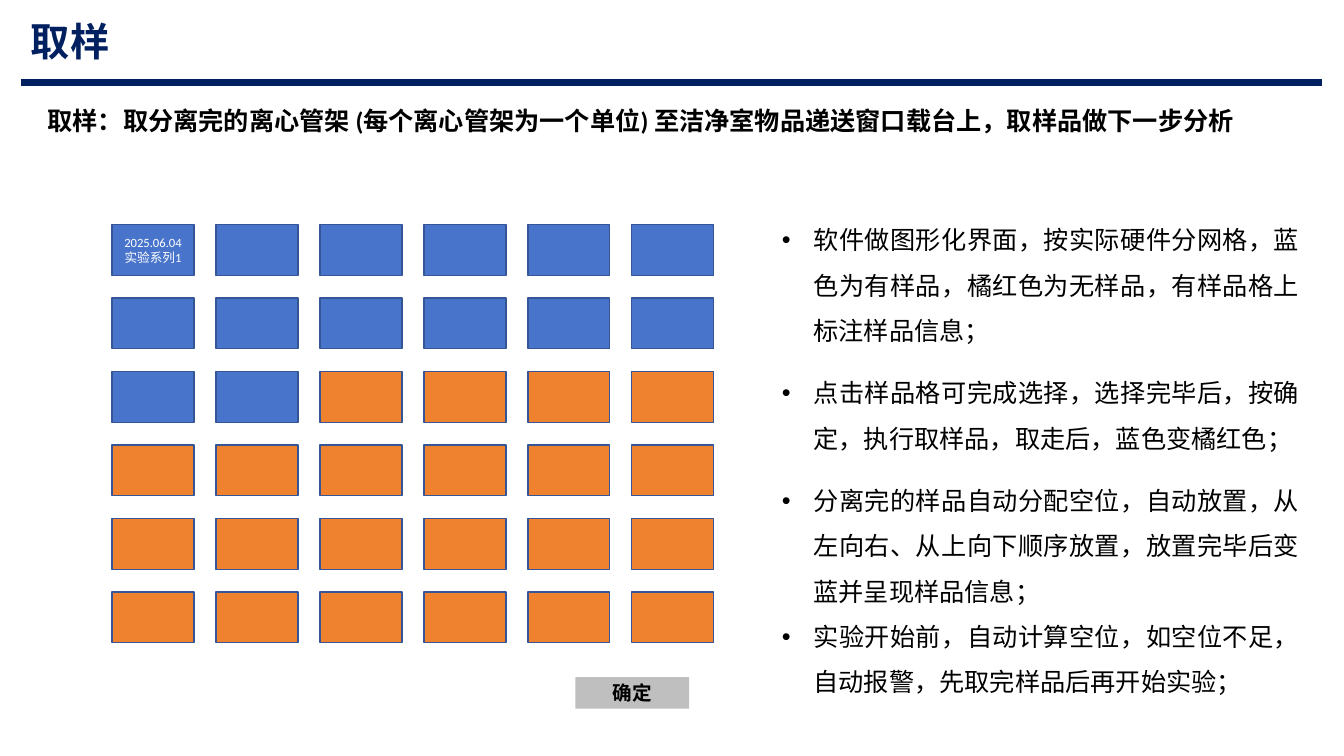
"""Build the sampling slide: a sample rack grid with its operating notes."""
from lxml.etree import SubElement
from pptx import Presentation
from pptx.dml.color import RGBColor
from pptx.enum.shapes import MSO_CONNECTOR, MSO_SHAPE
from pptx.enum.text import MSO_ANCHOR, PP_ALIGN
from pptx.oxml.ns import qn
from pptx.util import Pt

TITLE = "取样"
SUMMARY = "取样：取分离完的离心管架 (每个离心管架为一个单位) 至洁净室物品递送窗口载台上，取样品做下一步分析"
NOTES = [
    ("软件做图形化界面，按实际硬件分网格，蓝色为有样品，橘红色为无样品，有样品格上标注样品信息；", 12),
    ("点击样品格可完成选择，选择完毕后，按确定，执行取样品，取走后，蓝色变橘红色；", 12),
    ("分离完的样品自动分配空位，自动放置，从左向右、从上向下顺序放置，放置完毕后变蓝并呈现样品信息；", 0),
    ("实验开始前，自动计算空位，如空位不足，自动报警，先取完样品后再开始实验；", 0),
]
SAMPLE_LABEL = "2025.06.04 实验系列1"
CONFIRM = "确定"

ROWS, COLUMNS, OCCUPIED = 6, 6, 14
GRID_LEFT, GRID_TOP = 80, 160.4
CELL_WIDTH, CELL_HEIGHT = 58.6, 36.2
COLUMN_STEP, ROW_STEP = 74.25, 52.5
NOTE_INDENT = 22.5

NAVY, BLUE, ORANGE, EDGE = "002060", "4874CB", "EE822F", "355696"
GREY, BLACK, WHITE = "BFBFBF", "000000", "FFFFFF"

TITLE_FONT = {"size": Pt(28), "bold": True}
SUMMARY_FONT = {"size": Pt(18), "bold": True}
NOTE_FONT = {"size": Pt(18)}
LABEL_FONT = {"size": Pt(9)}
CONFIRM_FONT = {"size": Pt(14), "bold": True}


def color(hex_code):
    return RGBColor.from_string(hex_code)


def apply(target, values):
    for key, value in values.items():
        setattr(target, key, value)


def write(paragraph, text, font, hex_code, **layout):
    paragraph.text = text
    apply(paragraph, layout)
    run_font = paragraph.runs[0].font
    apply(run_font, {"name": "Calibri", **font})
    run_font.color.rgb = color(hex_code)


def add_frame(shapes, left, top, width, height):
    frame = shapes.add_textbox(Pt(left), Pt(top), Pt(width), Pt(height)).text_frame
    frame.word_wrap = True
    return frame


def add_box(shapes, left, top, width, height, fill, edge=None):
    box = shapes.add_shape(MSO_SHAPE.RECTANGLE, Pt(left), Pt(top), Pt(width), Pt(height))
    box.shadow.inherit = False
    box.fill.solid()
    box.fill.fore_color.rgb = color(fill)
    if edge:
        box.line.color.rgb = color(edge)
        box.line.width = Pt(1)
    else:
        box.line.fill.background()
    box.text_frame.vertical_anchor = MSO_ANCHOR.MIDDLE
    return box


def add_rack(shapes):
    rack = shapes.add_group_shape().shapes
    for index in range(ROWS * COLUMNS):
        row, column = divmod(index, COLUMNS)
        cell = add_box(rack, GRID_LEFT + column * COLUMN_STEP, GRID_TOP + row * ROW_STEP,
                       CELL_WIDTH, CELL_HEIGHT, BLUE if index < OCCUPIED else ORANGE, EDGE)
        if index == 0:
            write(cell.text_frame.paragraphs[0], SAMPLE_LABEL, LABEL_FONT, WHITE,
                  alignment=PP_ALIGN.CENTER)


def add_notes(shapes):
    frame = add_frame(shapes, 551.5, 146.2, 383.8, 358.6)
    for index, (note, gap) in enumerate(NOTES):
        paragraph = frame.add_paragraph() if index else frame.paragraphs[0]
        properties = paragraph._p.get_or_add_pPr()
        properties.set("marL", str(Pt(NOTE_INDENT)))
        properties.set("indent", str(-Pt(NOTE_INDENT)))
        SubElement(properties, qn("a:buFont"), typeface="Arial")
        SubElement(properties, qn("a:buChar"), char="•")
        write(paragraph, note, NOTE_FONT, BLACK, alignment=PP_ALIGN.JUSTIFY,
              line_spacing=1.5, space_after=Pt(gap))


def add_rule(shapes):
    rule = shapes.add_connector(MSO_CONNECTOR.STRAIGHT, Pt(15), Pt(59), Pt(944), Pt(59))
    rule.line.color.rgb = color(NAVY)
    rule.line.width = Pt(4.5)
    SubElement(rule._element.spPr, qn("a:effectLst"))


def main():
    deck = Presentation()
    apply(deck, {"slide_width": Pt(960), "slide_height": Pt(540)})
    shapes = deck.slides.add_slide(deck.slide_layouts[6]).shapes
    add_rack(shapes)
    summary = add_frame(shapes, 26.8, 72, 866, 29)
    write(summary.paragraphs[0], SUMMARY, SUMMARY_FONT, BLACK)
    add_notes(shapes)
    confirm = add_box(shapes, 411, 483.6, 81.2, 22.6, GREY)
    write(confirm.text_frame.paragraphs[0], CONFIRM, CONFIRM_FONT, BLACK,
          alignment=PP_ALIGN.CENTER)
    add_rule(shapes)
    title = add_frame(shapes, 15, 8.6, 929.5, 41)
    write(title.paragraphs[0], TITLE, TITLE_FONT, NAVY)
    deck.save("out.pptx")


if __name__ == "__main__":
    main()
